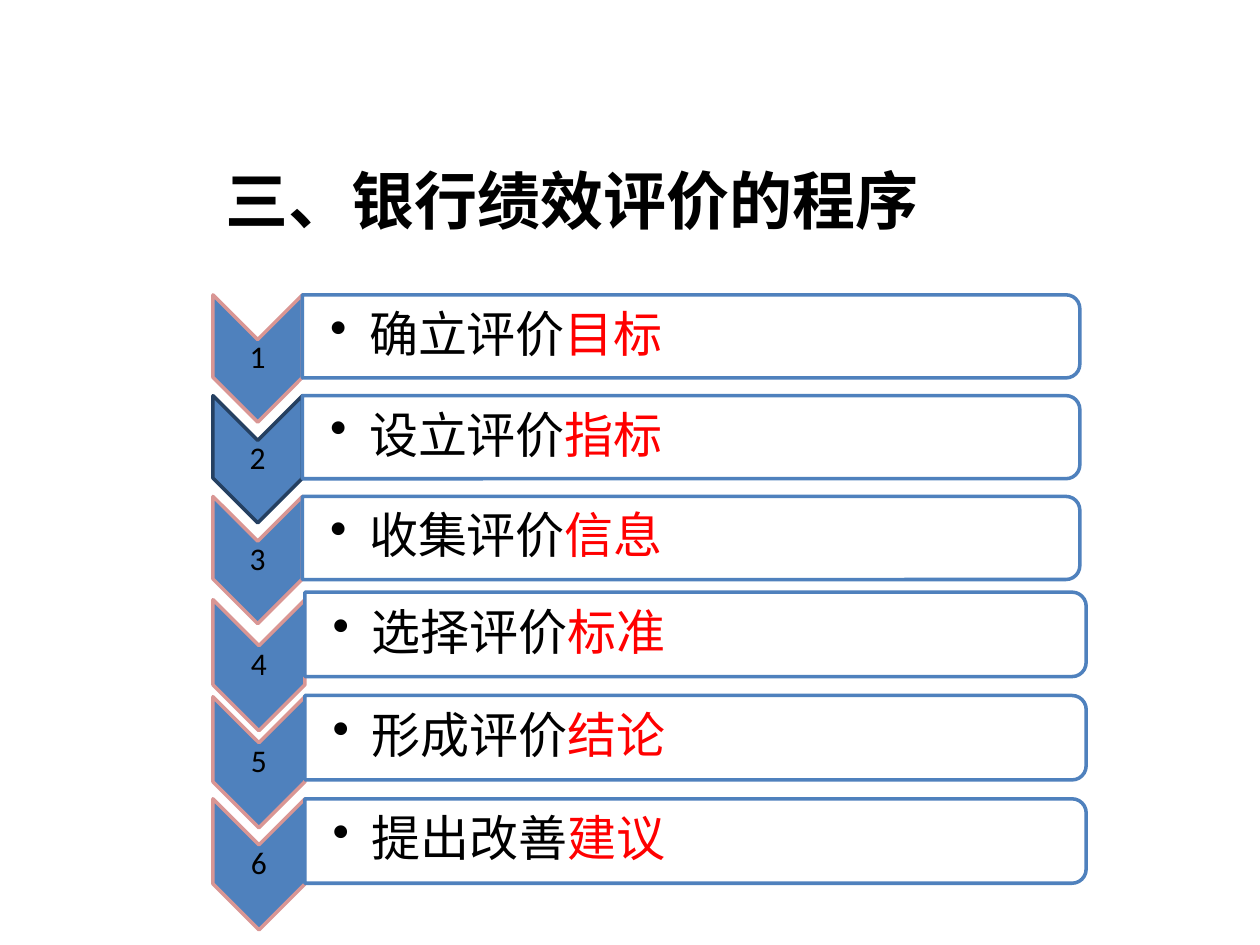
import pptx
import pptx.util
from pptx.dml.color import RGBColor
from pptx.enum.shapes import MSO_SHAPE
from pptx.enum.text import MSO_ANCHOR, PP_ALIGN
from pptx.oxml.ns import qn
from pptx.util import Inches
from lxml import etree

BLUE = RGBColor(0x4F, 0x81, 0xBD)
NAVY = RGBColor(0x25, 0x40, 0x61)
PINK = RGBColor(0xD9, 0x96, 0x94)
WHITE = RGBColor(0xFF, 0xFF, 0xFF)
BLACK = RGBColor(0, 0, 0)
RED = RGBColor(0xFF, 0, 0)

HAN = "Noto Sans CJK SC"
LEFT = Inches(1.69)

# First words, red words, chevron line, drop of the chevron below its bar
UPPER = [("确立评价", "目标", PINK, 0),
         ("设立评价", "指标", NAVY, 0),
         ("收集评价", "信息", PINK, 0)]
LOWER = [("选择评价", "标准", PINK, 0.06),
         ("形成评价", "结论", PINK, 0.01),
         ("提出改善", "建议", PINK, 0)]

# Sizes of the two blocks of steps
BIG = {"top": 2.34, "pitch": 0.8, "chev": (0.71, 1.01), "bar": (6.17, 0.66)}
BIGGER = {"top": 4.7, "pitch": 0.82, "chev": (0.73, 1.04), "bar": (6.2, 0.67)}


def apply(item, form):
    for name, value in form.items():
        setattr(item, name, value)


def add_run(para, text, face, size, color, bold=False):
    run = para.add_run()
    run.text = text
    apply(run.font, {"name": face, "size": pptx.util.Pt(size), "bold": bold})
    run.font.color.rgb = color
    if face == HAN:
        etree.SubElement(run.font._element, qn("a:ea"), typeface=face)


def add_turned(slide, kind, left, top, wide, high, fill, line):
    """Add a shape turned by 90 degrees that shows in the given box."""
    shape = slide.shapes.add_shape(
        kind, left + (wide - high) // 2, top + (high - wide) // 2, high, wide)
    shape.rotation = 90
    shape.shadow.inherit = False
    shape.fill.solid()
    shape.fill.fore_color.rgb = fill
    shape.line.color.rgb = line
    shape.line.width = pptx.util.Pt(2)
    return shape


def add_label(slide, left, top, wide, high, inset, pad):
    frame = slide.shapes.add_textbox(left, top, wide, high).text_frame
    apply(frame, {"word_wrap": True, "vertical_anchor": MSO_ANCHOR.MIDDLE,
                  "margin_left": Inches(inset), "margin_right": Inches(pad),
                  "margin_top": Inches(pad), "margin_bottom": Inches(pad)})
    para = frame.paragraphs[0]
    para.line_spacing = 0.9
    return para


def add_bullet(para):
    props = para._p.get_or_add_pPr()
    props.set("marL", str(Inches(0.31)))
    props.set("indent", str(-Inches(0.31)))
    etree.SubElement(props, qn("a:buChar"), char="•")


def add_chevron(slide, left, top, wide, high, number, line):
    add_turned(slide, MSO_SHAPE.CHEVRON, left, top, wide, high, BLUE, line)
    para = add_label(slide, left, top + wide // 2, wide, high - wide,
                     0.01, 0.01)
    para.alignment = PP_ALIGN.CENTER
    add_run(para, str(number), "Calibri", 18, BLACK)


def add_bar(slide, left, top, wide, high, lead, key):
    bar = add_turned(slide, MSO_SHAPE.ROUND_2_SAME_RECTANGLE,
                     left, top, wide, high, WHITE, BLUE)
    tint = bar.fill._xPr.find(qn("a:solidFill"))[0]
    etree.SubElement(tint, qn("a:alpha"), val="90000")
    edge = Inches(0.03)
    para = add_label(slide, left, top + edge, wide - edge, high - 2 * edge,
                     0.22, 0.02)
    para.level = 1
    add_bullet(para)
    add_run(para, lead, HAN, 28, BLACK)
    add_run(para, key, HAN, 28, RED)


def add_steps(slide, steps, first, size):
    """Stack numbered steps, each a chevron with a bar at its right."""
    chev = [Inches(x) for x in size["chev"]]
    bar = [Inches(x) for x in size["bar"]]
    for row, (lead, key, line, drop) in enumerate(steps):
        top = Inches(size["top"] + row * size["pitch"])
        add_chevron(slide, LEFT, top + Inches(drop), *chev, first + row, line)
        add_bar(slide, LEFT + chev[0], top, *bar, lead, key)


def add_title(slide, left, top, wide, high):
    title = slide.shapes.title
    apply(title, {"left": left, "top": top, "width": wide, "height": high})
    frame = title.text_frame
    apply(frame, {"word_wrap": True, "vertical_anchor": MSO_ANCHOR.TOP})
    para = frame.paragraphs[0]
    para.alignment = PP_ALIGN.LEFT
    add_run(para, "三、银行绩效评价的程序", "Calibri", 36, BLACK, True)


def main():
    deck = pptx.Presentation()
    apply(deck, {"slide_width": Inches(10), "slide_height": Inches(7.5)})
    slide = deck.slides.add_slide(deck.slide_layouts[5])
    add_title(slide, LEFT, Inches(1.23), Inches(6.61), Inches(0.7))
    add_steps(slide, UPPER, 1, BIG)
    add_steps(slide, LOWER, 4, BIGGER)
    deck.save("out.pptx")


if __name__ == "__main__":
    main()
